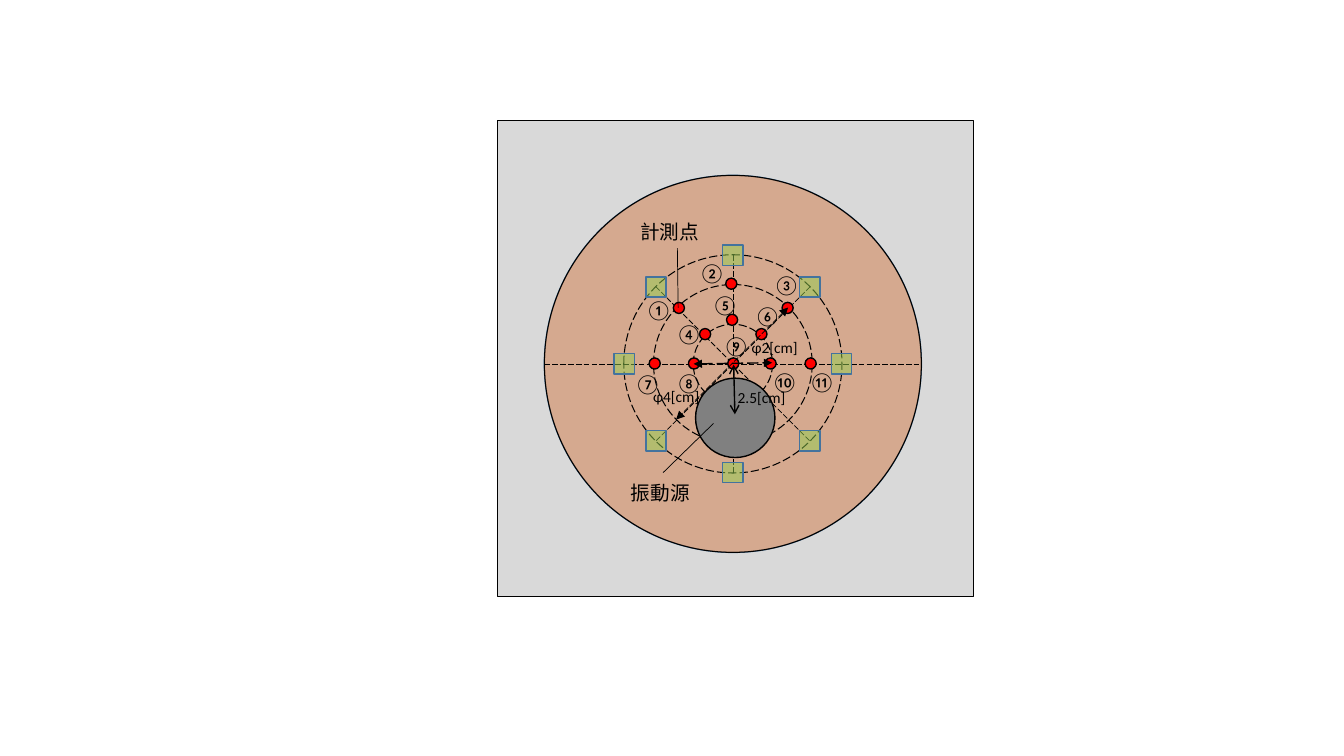
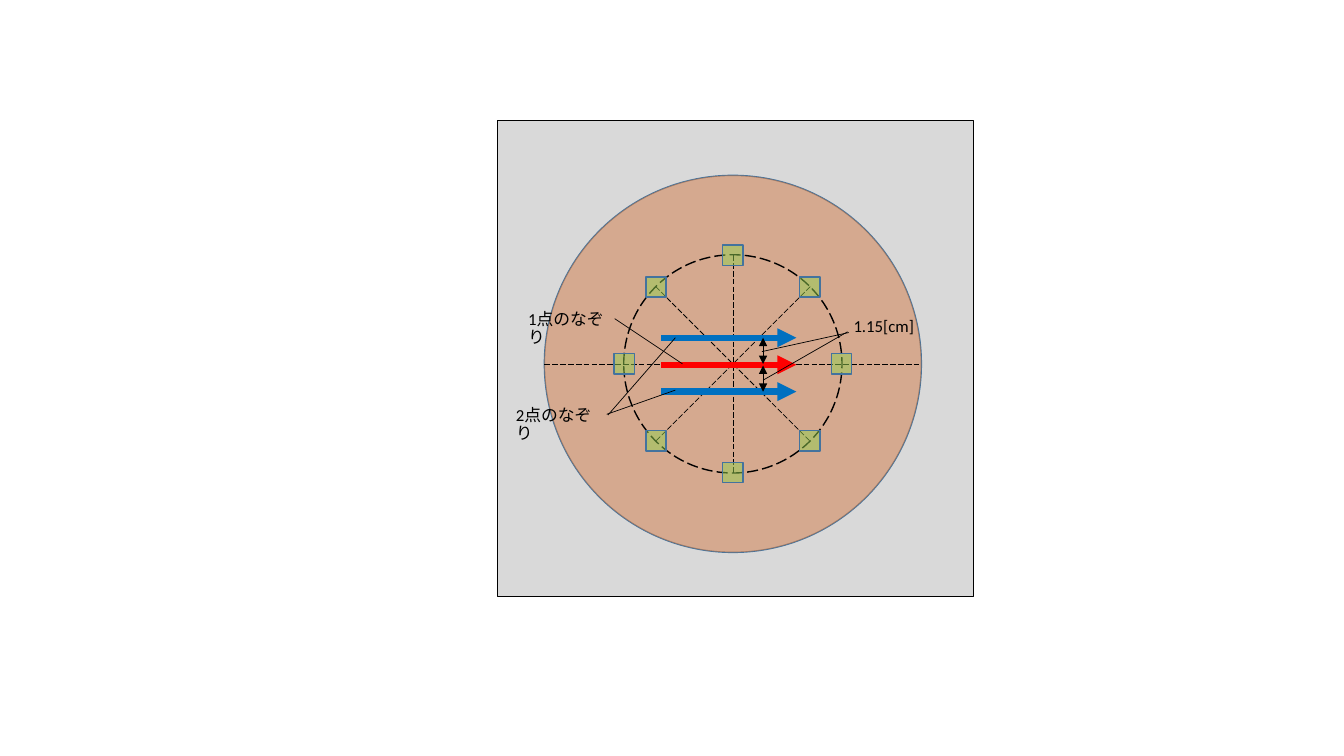
from dataclasses import dataclass
from math import cos, radians, sin

from pptx import Presentation
from pptx.dml.color import RGBColor as Rgb
from pptx.enum.dml import MSO_LINE_DASH_STYLE as Dash
from pptx.enum.shapes import MSO_CONNECTOR as Conn
from pptx.enum.shapes import MSO_SHAPE as Form
from pptx.enum.text import MSO_ANCHOR as Anchor
from pptx.oxml.ns import qn
from pptx.oxml.xmlchemy import OxmlElement as make
from pptx.slide import Slide
from pptx.util import Cm, Pt


@dataclass(frozen=True)
class Theme:
    font: str = "Calibri"
    black: str = "000000"
    plate: str = "D9D9D9"
    base: str = "BDD7EE"
    skin: str = "ED7D31"
    edge: str = "43739E"
    pad: str = "92D050"
    red: str = "FF0000"
    blue: str = "0070C0"
    source: str = "808080"
    big: int = 14
    mid: int = 12
    small: int = 11
    thin: float = 0.5
    fine: float = 0.75
    firm: float = 1
    bold: float = 4.5


@dataclass(frozen=True)
class Point:
    x: float
    y: float


@dataclass(frozen=True)
class Spot:
    """A measuring point: its number, its centre and the label's corner."""
    mark: str
    dot: Point
    label: Point


@dataclass(frozen=True)
class Label:
    text: str
    at: Point
    wide: float
    high: float
    size: int
    lead: float = 1.0


@dataclass(frozen=True)
class Line:
    start: Point
    end: Point
    width: float = Theme.thin
    color: str = Theme.black
    dash: bool = False
    head: str = ""
    tail: str = ""


THEME = Theme()
MID = Point(18.47, 9.17)
SKIN = 9.5
RING = 5.5
REACH = 2.74
DIAG = 1.95

SPOTS = (
    Spot("①", Point(17.11, 7.76), Point(16.03, 7.39)),
    Spot("②", Point(18.43, 7.15), Point(17.37, 6.45)),
    Spot("③", Point(19.85, 7.76), Point(19.25, 6.76)),
    Spot("④", Point(17.77, 8.42), Point(16.79, 7.98)),
    Spot("⑤", Point(18.45, 8.06), Point(17.7, 7.26)),
    Spot("⑥", Point(19.19, 8.42), Point(18.77, 7.54)),
    Spot("⑦", Point(16.5, 9.16), Point(15.75, 9.25)),
    Spot("⑧", Point(17.49, 9.16), Point(16.79, 9.22)),
    Spot("⑨", Point(18.48, 9.16), Point(17.98, 8.28)),
    Spot("⑩", Point(19.42, 9.16), Point(19.2, 9.19)),
    Spot("⑪", Point(20.43, 9.16), Point(20.14, 9.19)),
)


def shift(dx: float, dy: float) -> Point:
    """Give the point at an offset from the centre of the disc."""
    return Point(MID.x + dx, MID.y + dy)


def apply(target: object, values: dict) -> None:
    for name, value in values.items():
        setattr(target, name, value)


def draw_shape(slide: Slide, form: Form, mid: Point, size: float,
               fill: str = "", edge: str = "", width: float = THEME.firm,
               clear: bool = False, dash: bool = False) -> None:
    """Draw a square or round shape about its centre."""
    shape = slide.shapes.add_shape(form, Cm(mid.x - size / 2),
                                   Cm(mid.y - size / 2), Cm(size), Cm(size))
    shape.shadow.inherit = False
    if fill:
        shape.fill.solid()
        shape.fill.fore_color.rgb = Rgb.from_string(fill)
        if clear:
            alpha = make("a:alpha")
            alpha.set("val", "50000")
            shape.element.spPr.find(qn("a:solidFill"))[0].append(alpha)
    else:
        shape.fill.background()
    if edge:
        shape.line.color.rgb = Rgb.from_string(edge)
        shape.line.width = Pt(width)
        if dash:
            shape.line.dash_style = Dash.LONG_DASH
    else:
        shape.line.fill.background()


def draw_line(slide: Slide, line: Line) -> None:
    conn = slide.shapes.add_connector(
        Conn.STRAIGHT, Cm(line.start.x), Cm(line.start.y),
        Cm(line.end.x), Cm(line.end.y))
    conn.line.color.rgb = Rgb.from_string(line.color)
    conn.line.width = Pt(line.width)
    if line.dash:
        conn.line.dash_style = Dash.LONG_DASH
    props = conn.element.spPr
    for tag, kind in (("a:headEnd", line.head), ("a:tailEnd", line.tail)):
        if kind:
            tip = make(tag)
            tip.set("type", kind)
            props.find(qn("a:ln")).append(tip)
    props.append(make("a:effectLst"))


def draw_label(slide: Slide, label: Label) -> None:
    box = slide.shapes.add_textbox(Cm(label.at.x), Cm(label.at.y),
                                   Cm(label.wide), Cm(label.high))
    frame = box.text_frame
    apply(frame, {"word_wrap": True, "vertical_anchor": Anchor.TOP})
    para = frame.paragraphs[0]
    para.line_spacing = label.lead
    run = para.add_run()
    run.text = label.text
    apply(run.font, {"name": THEME.font, "size": Pt(label.size)})
    run.font.color.rgb = Rgb.from_string(THEME.black)


def draw_base(slide: Slide, edge: str, width: float) -> None:
    """Draw the plate, the disc and the eight pads that both slides share."""
    draw_shape(slide, Form.RECTANGLE, Point(18.54, 9.04), 12,
               THEME.plate, THEME.black)
    draw_shape(slide, Form.OVAL, MID, SKIN, THEME.base, THEME.edge)
    draw_shape(slide, Form.OVAL, MID, SKIN, THEME.skin, edge,
               THEME.fine, clear=True)
    for dx, dy in ((SKIN / 2, 0), (0, REACH), (DIAG, DIAG), (-DIAG, DIAG)):
        draw_line(slide, Line(shift(-dx, -dy), shift(dx, dy), dash=True))
    draw_shape(slide, Form.OVAL, MID, RING, edge=THEME.black,
               width=width, dash=True)
    for turn in range(0, 360, 45):
        angle = radians(turn)
        pad = shift(REACH * cos(angle), REACH * sin(angle))
        draw_shape(slide, Form.RECTANGLE, pad, 0.51, THEME.pad,
                   THEME.edge, clear=True)


def draw_points(slide: Slide) -> None:
    draw_base(slide, THEME.black, THEME.fine)
    for size in (4, 2):
        draw_shape(slide, Form.OVAL, MID, size, edge=THEME.black,
                   width=THEME.fine, dash=True)
    for spot in SPOTS:
        draw_shape(slide, Form.OVAL, spot.dot, 0.28, THEME.red, THEME.black)
        draw_label(slide, Label(spot.mark, spot.label, 1.02, 0.86, THEME.big))
    draw_shape(slide, Form.OVAL, Point(18.53, 10.53), 2,
               THEME.source, THEME.black)
    for text, at in (("振動源", Point(15.65, 11.99)),
                     ("計測点", Point(15.88, 5.41))):
        draw_label(slide, Label(text, at, 2.11, 0.86, THEME.big))
    for text, at in (("φ2[cm]", Point(18.69, 8.46)),
                     ("φ4[cm]", Point(16.21, 9.68)),
                     ("2.5[cm]", Point(18.34, 9.7))):
        draw_label(slide, Label(text, at, 1.75, 0.64, THEME.small, 0.9))
    tips = {"head": "triangle", "tail": "triangle", "dash": True}
    for line in (
        Line(Point(16.71, 11.91), Point(17.98, 10.67)),
        Line(Point(17.09, 7.75), Point(17.07, 6.25)),
        Line(Point(18.52, 10.44), Point(18.49, 9.19), THEME.firm,
             head="arrow", tail="arrow"),
        Line(Point(17.48, 9.17), Point(19.46, 9.14), THEME.firm, **tips),
        Line(Point(19.86, 7.75), Point(17.04, 10.57), **tips),
    ):
        draw_line(slide, line)


def draw_strokes(slide: Slide) -> None:
    draw_base(slide, "", THEME.firm)
    mid, gap = 9.19, 0.68
    for step, color in ((0, THEME.red), (1, THEME.blue), (-1, THEME.blue)):
        y = mid + step * gap
        draw_line(slide, Line(Point(16.66, y), Point(20.07, y), THEME.bold,
                              color, tail="triangle"))
    for top in (mid - gap, mid + 0.02):
        draw_line(slide, Line(Point(19.23, top), Point(19.23, top + 0.66),
                              head="triangle", tail="triangle"))
    for start, end in (
        (Point(17.2, 9.17), Point(15.49, 8.03)),
        (Point(15.29, 10.44), Point(17.02, 9.83)),
        (Point(15.32, 10.46), Point(17.02, 8.51)),
        (Point(21.39, 8.38), Point(19.2, 8.86)),
        (Point(21.36, 8.36), Point(19.23, 9.58)),
    ):
        draw_line(slide, Line(start, end))
    for text, at, wide in (("1点のなぞり", Point(13.06, 7.7), 2.72),
                           ("2点のなぞり", Point(12.75, 10.13), 2.72),
                           ("1.15[cm]", Point(21.26, 7.9), 2.08)):
        draw_label(slide, Label(text, at, wide, 0.64, THEME.mid, 0.9))


def main() -> None:
    deck = Presentation()
    apply(deck, {"slide_width": Cm(33.87), "slide_height": Cm(19.05)})
    for draw in (draw_points, draw_strokes):
        draw(deck.slides.add_slide(deck.slide_layouts[6]))
    deck.save("out.pptx")


if __name__ == "__main__":
    main()
